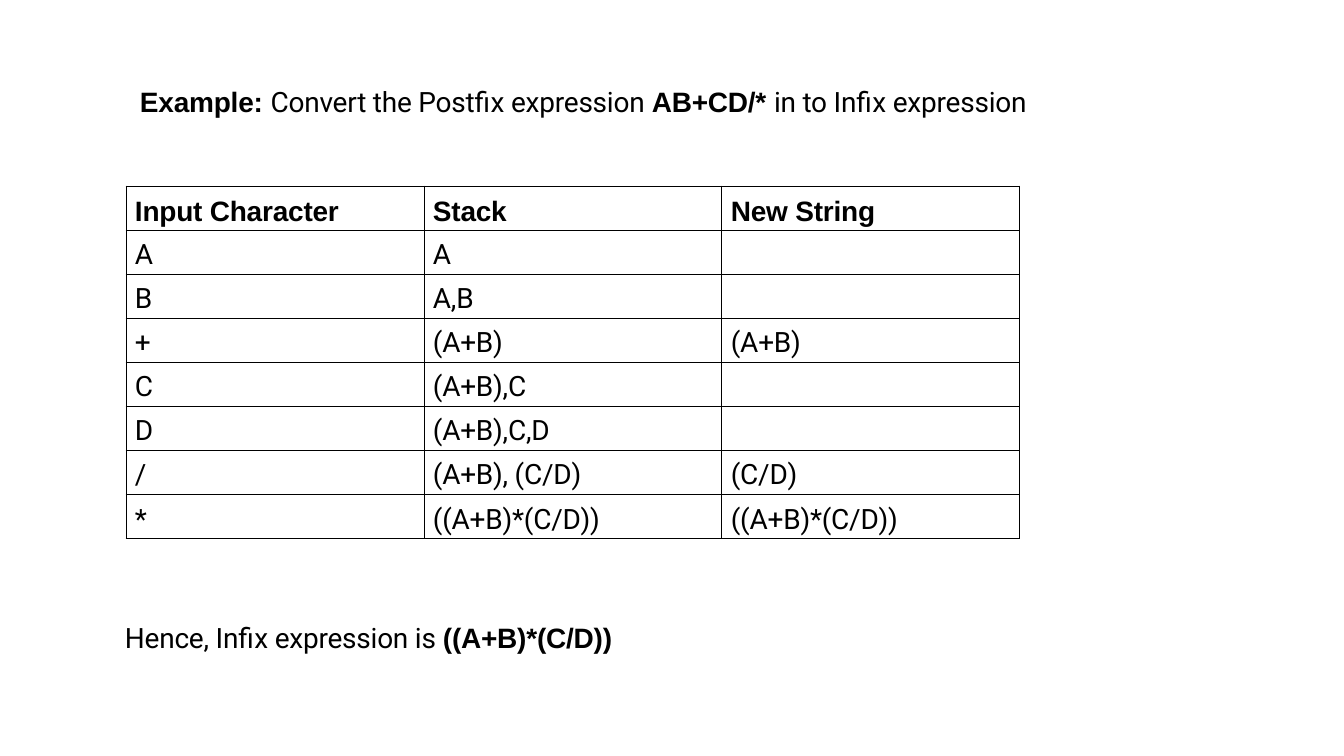
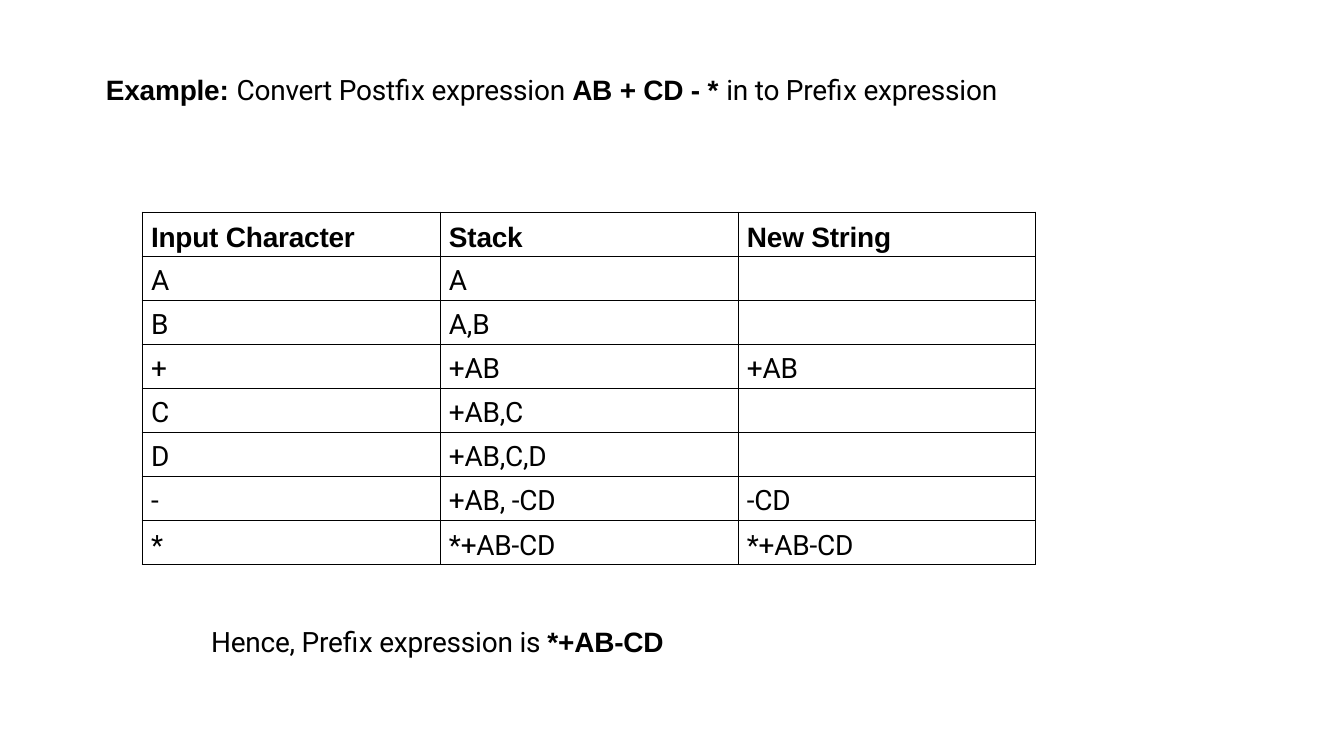
from dataclasses import dataclass

from lxml.etree import SubElement
from pptx import Presentation
from pptx.dml.color import RGBColor as Rgb
from pptx.enum.text import MSO_AUTO_SIZE as AutoSize
from pptx.oxml.ns import qn
from pptx.util import Emu, Pt

EMU_PER_PX = 9144000 / 1344


def px(length):
    return Emu(round(length * EMU_PER_PX))


@dataclass(frozen=True)
class Theme:
    ink: str = "000000"
    paper: str = "FFFFFF"
    body_font: str = "Roboto"
    strong_font: str = "Arial"
    text_size: float = 15
    tracking: float = -0.1
    cell_leading: float = 17.4
    cell_space: float = 5.3
    line_space: float = 1
    border: float = 0.5


class Deck:
    def __init__(self, theme):
        self.theme = theme
        self.show = Presentation()
        self.show.slide_width, self.show.slide_height = px(1344), px(756)
        self.slide = None

    def new_slide(self):
        self.slide = self.show.slides.add_slide(self.show.slide_layouts[6])
        paper = self.slide.background.fill
        paper.solid()
        paper.fore_color.rgb = Rgb.from_string(self.theme.paper)

    def run(self, paragraph, text, strong=False):
        run = paragraph.add_run()
        run.text = text
        font = run.font
        font.name = self.theme.strong_font if strong else self.theme.body_font
        font.size = Pt(self.theme.text_size)
        font.bold = strong
        font.color.rgb = Rgb.from_string(self.theme.ink)
        font._element.set("spc", str(round(self.theme.tracking * 100)))

    def sentence(self, left, top, width, parts):
        """Write one line from (text, strong) parts."""
        frame = self.slide.shapes.add_textbox(
            px(left), px(top), px(width), px(38)).text_frame
        frame.word_wrap = True
        frame.auto_size = AutoSize.SHAPE_TO_FIT_TEXT
        frame.margin_left = frame.margin_top = px(1)
        frame.margin_right = frame.margin_bottom = 0
        paragraph = frame.paragraphs[0]
        paragraph.space_before = Pt(self.theme.line_space)
        for text, strong in parts:
            self.run(paragraph, text, strong)

    def cell(self, cell, text, strong):
        theme = self.theme
        cell.margin_left, cell.margin_top = px(9), px(9)
        cell.margin_right = cell.margin_bottom = 0

        # Borders come before the fill in the cell properties
        properties = cell._tc.get_or_add_tcPr()
        for side in ("lnL", "lnR", "lnT", "lnB"):
            line = SubElement(properties, qn(f"a:{side}"), w=str(Pt(theme.border)))
            SubElement(SubElement(line, qn("a:solidFill")),
                       qn("a:srgbClr"), val=theme.ink)
        cell.fill.background()

        paragraph = cell.text_frame.paragraphs[0]
        paragraph.line_spacing = Pt(theme.cell_leading)
        paragraph.space_before = Pt(theme.cell_space)
        if text:
            self.run(paragraph, text, strong)
        else:
            # Keeps an empty cell from growing its row
            SubElement(paragraph._p, qn("a:endParaRPr"),
                       sz=str(round(theme.text_size * 100)))

    def table(self, left, top, rows):
        """Draw a ruled grid whose first row is the heading."""
        table = self.slide.shapes.add_table(
            len(rows), len(rows[0]), px(left), px(top), px(894), px(353)).table
        table.first_row = table.horz_banding = False
        for r, row in enumerate(rows):
            for c, text in enumerate(row):
                self.cell(table.cell(r, c), text, strong=r == 0)

    def save(self):
        self.show.save("out.pptx")


HEADINGS = ("Input Character", "Stack", "New String")


def main():
    deck = Deck(Theme())

    # Postfix to infix
    deck.new_slide()
    deck.table(126, 186, [
        HEADINGS,
        ("A", "A", ""),
        ("B", "A,B", ""),
        ("+", "(A+B)", "(A+B)"),
        ("C", "(A+B),C", ""),
        ("D", "(A+B),C,D", ""),
        ("/", "(A+B), (C/D)", "(C/D)"),
        ("*", "((A+B)*(C/D))", "((A+B)*(C/D))"),
    ])
    deck.sentence(139, 84, 903, [
        ("Example: ", True),
        ("Convert the Postfix expression ", False),
        ("AB+CD/* ", True),
        ("in to Infix expression", False),
    ])
    deck.sentence(124, 620, 503, [
        ("Hence, Infix expression is ", False),
        ("((A+B)*(C/D))", True),
    ])

    # Postfix to prefix
    deck.new_slide()
    deck.table(142, 212, [
        HEADINGS,
        ("A", "A", ""),
        ("B", "A,B", ""),
        ("+", "+AB", "+AB"),
        ("C", "+AB,C", ""),
        ("D", "+AB,C,D", ""),
        ("-", "+AB, -CD", "-CD"),
        ("*", "*+AB-CD", "*+AB-CD"),
    ])
    deck.sentence(210, 624, 468, [
        ("Hence, Prefix expression is ", False),
        ("*+AB-CD", True),
    ])
    deck.sentence(105, 72, 910, [
        ("Example: ", True),
        ("Convert Postfix expression ", False),
        ("AB + CD - * ", True),
        ("in to Prefix expression", False),
    ])

    deck.save()


if __name__ == "__main__":
    main()
